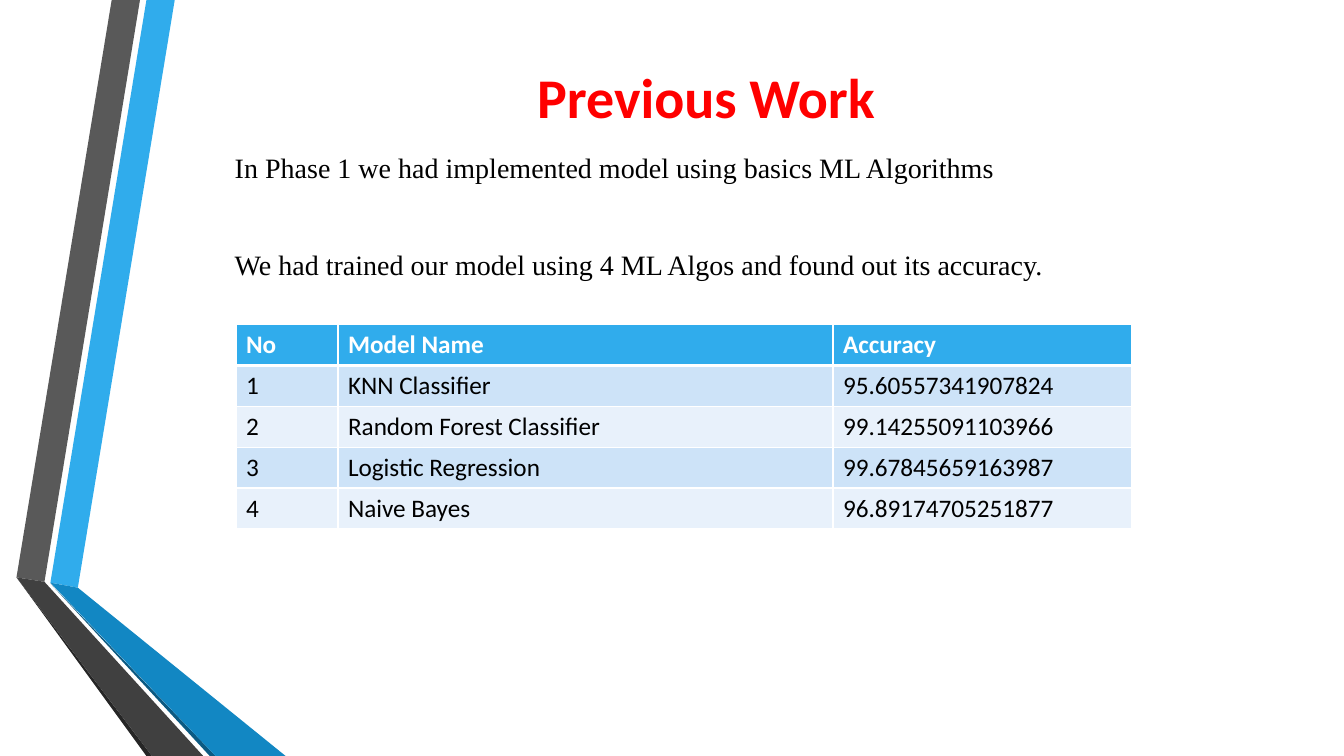
import dataclasses

import pptx
import pptx.dml.color
import pptx.enum.text
import pptx.oxml
import pptx.oxml.ns
import pptx.util

Pt = pptx.util.Pt


@dataclasses.dataclass(frozen=True)
class Theme:
    heading_font: str = "Calibri"
    body_font: str = "Times New Roman"
    title_size: int = 40
    body_size: int = 20
    table_size: int = 18
    red: str = "FF0000"
    black: str = "000000"
    white: str = "FFFFFF"
    blue: str = "30ACEC"
    blue_fold: str = "1287C3"
    blue_edge: str = "0C5A82"
    grey: str = "595959"
    grey_fold: str = "404040"
    grey_edge: str = "262626"
    band_dark: str = "CDE3F8"
    band_light: str = "E8F1FB"


THEME = Theme()

RIBBONS = [
    (THEME.blue, [(36, 416.2), (55.6, 419.8), (124.8, 0), (104.6, 0)]),
    (THEME.grey, [(100, 0), (79.8, 0), (11.8, 412.4), (31.8, 415.6)]),
    (THEME.grey_edge, [(11.8, 412.4), (104.6, 540), (108.6, 540)]),
    (THEME.blue_edge, [(36, 416.8), (149.8, 540), (154, 540)]),
    (THEME.blue_fold, [(36, 416.2), (154, 540), (204, 540), (55.6, 419.8)]),
    (THEME.grey_fold, [(145.2, 540), (31.8, 415.6), (11.8, 412.4), (108.6, 540)]),
]

STATEMENTS = [
    "In Phase 1 we had implemented model using basics ML Algorithms",
    "We had trained our model using 4 ML Algos and found out its accuracy.",
]

COLUMN_WIDTHS = [72.8, 353.6, 213.2]
ROW_HEIGHT = 29.2
RESULTS = [
    ("No", "Model Name", "Accuracy"),
    ("1", "KNN Classifier", "95.60557341907824"),
    ("2", "Random Forest Classifier", "99.14255091103966"),
    ("3", "Logistic Regression", "99.67845659163987"),
    ("4", "Naive Bayes", "96.89174705251877"),
]


def rgb(color):
    return pptx.dml.color.RGBColor.from_string(color)


def add_span(para, text, font, size, color, bold=False):
    span = para.add_run()
    span.text = text
    span.font.name = font
    span.font.size = Pt(size)
    span.font.bold = bold
    span.font.color.rgb = rgb(color)


def add_ribbon(page, color, corners):
    start, *others = [(Pt(x), Pt(y)) for x, y in corners]
    builder = page.shapes.build_freeform(*start)
    builder.add_line_segments(others, close=True)
    ribbon = builder.convert_to_shape()
    ribbon.shadow.inherit = False
    ribbon.fill.solid()
    ribbon.fill.fore_color.rgb = rgb(color)
    ribbon.line.fill.background()


def add_text_box(page, left, top, width, height, anchor):
    box = page.shapes.add_textbox(Pt(left), Pt(top), Pt(width), Pt(height))
    box.text_frame.word_wrap = True
    box.text_frame.vertical_anchor = anchor
    return box.text_frame


def add_title(page, text):
    frame = add_text_box(page, 152.6, 15.8, 703.4, 80.6,
                         pptx.enum.text.MSO_ANCHOR.BOTTOM)
    para = frame.paragraphs[0]
    para.alignment = pptx.enum.text.PP_ALIGN.CENTER
    add_span(para, text, THEME.heading_font, THEME.title_size, THEME.red, True)


def add_statements(page, statements):
    frame = add_text_box(page, 160.6, 104, 703.4, 120,
                         pptx.enum.text.MSO_ANCHOR.TOP)
    for index, text in enumerate(statements):
        para = frame.add_paragraph() if index else frame.paragraphs[0]
        para.space_before = Pt(45 if index else 0)
        add_span(para, text, THEME.body_font, THEME.body_size, THEME.black)


def set_borders(cell, bottom_width):
    properties = cell._tc.get_or_add_tcPr()
    namespace = pptx.oxml.ns.nsdecls("a")
    widths = {"lnL": 1, "lnR": 1, "lnT": 1, "lnB": bottom_width}
    for index, (side, width) in enumerate(widths.items()):
        properties.insert(index, pptx.oxml.parse_xml(
            f'<a:{side} {namespace} w="{Pt(width)}"><a:solidFill>'
            f'<a:srgbClr val="{THEME.white}"/></a:solidFill></a:{side}>'))


def add_results_table(page, rows):
    table = page.shapes.add_table(
        len(rows), len(COLUMN_WIDTHS), Pt(168.6), Pt(231.8),
        Pt(sum(COLUMN_WIDTHS)), Pt(ROW_HEIGHT * len(rows))).table
    for column, width in zip(table.columns, COLUMN_WIDTHS):
        column.width = Pt(width)
    for index, values in enumerate(rows):
        header = index == 0
        band = THEME.band_dark if index % 2 else THEME.band_light
        table.rows[index].height = Pt(ROW_HEIGHT)
        for cell, text in zip(table.rows[index].cells, values):
            cell.fill.solid()
            cell.fill.fore_color.rgb = rgb(THEME.blue if header else band)
            set_borders(cell, 3 if header else 1)
            add_span(cell.text_frame.paragraphs[0], text,
                     THEME.heading_font, THEME.table_size,
                     THEME.white if header else THEME.black, header)


def main():
    deck = pptx.Presentation()
    deck.slide_width, deck.slide_height = Pt(960), Pt(540)
    page = deck.slides.add_slide(deck.slide_layouts[6])
    for color, corners in RIBBONS:
        add_ribbon(page, color, corners)
    add_title(page, "Previous Work")
    add_statements(page, STATEMENTS)
    add_results_table(page, RESULTS)
    deck.save("out.pptx")


if __name__ == "__main__":
    main()
